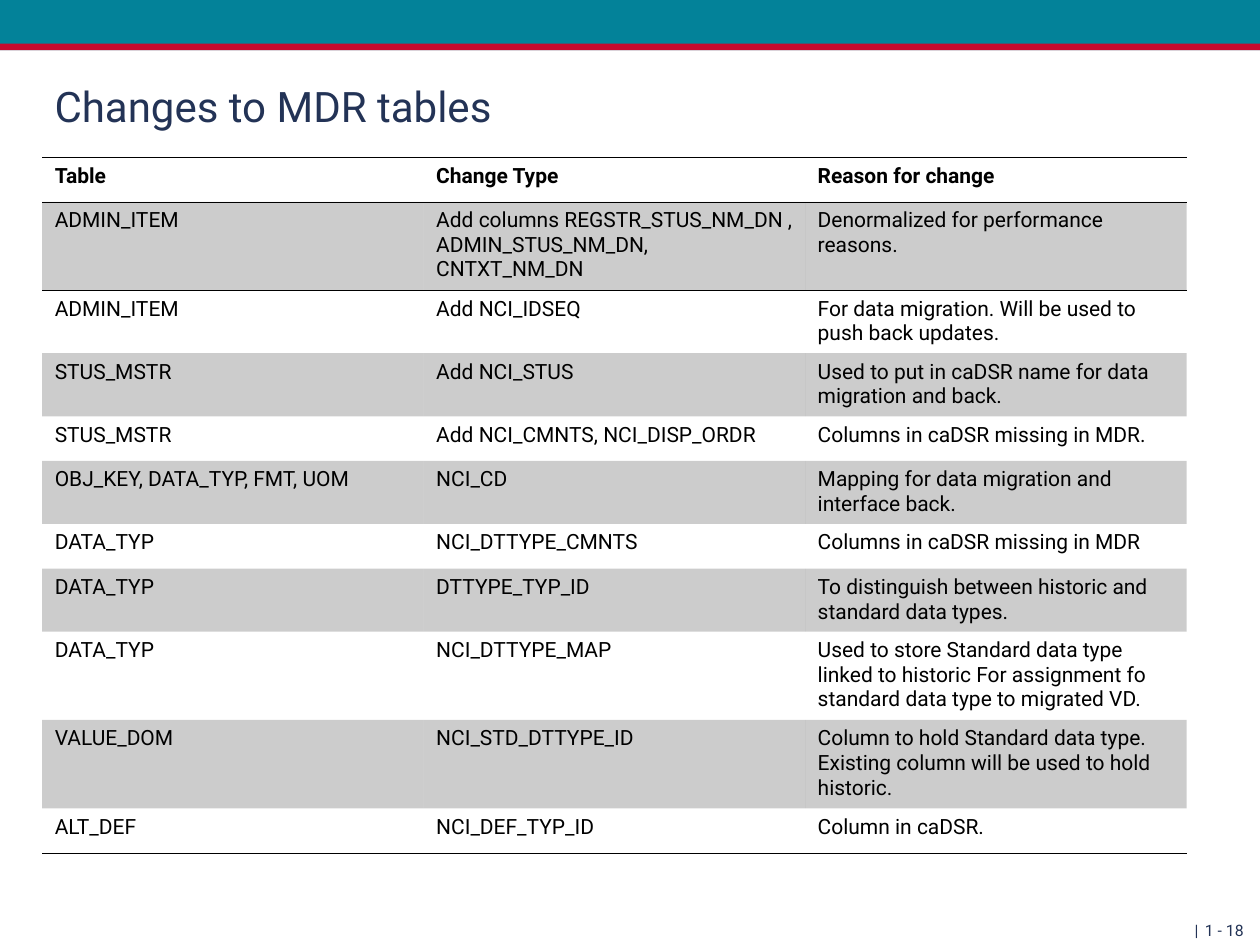
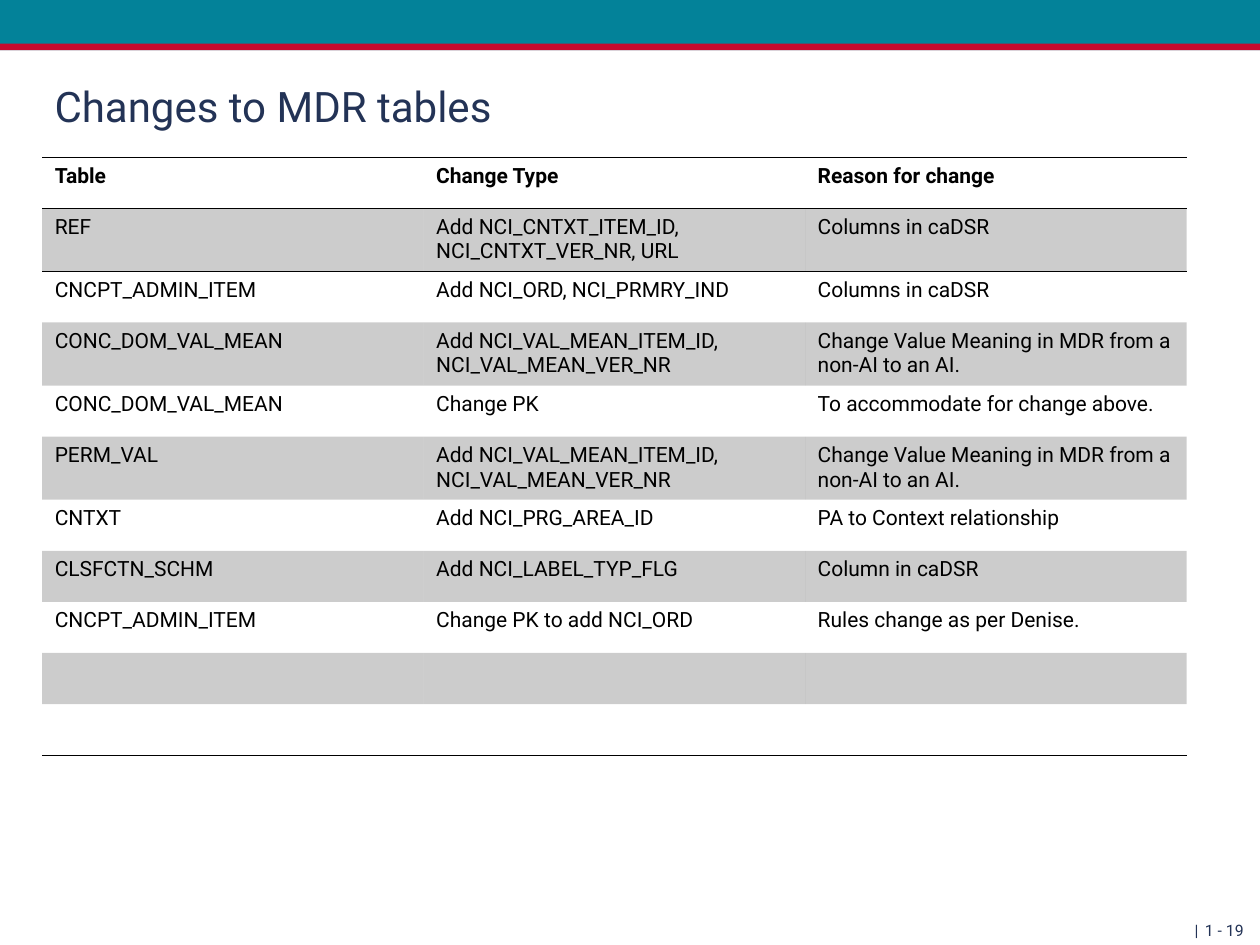
import pptx
import pptx.dml.color
import pptx.enum.shapes
import pptx.enum.text
import pptx.oxml
import pptx.oxml.ns
import pptx.util
from pptx.util import Cm

COLORS = {
    "band": "038299",
    "stripe": "C6092D",
    "navy": "233356",
    "black": "000000",
}
FONT = "Roboto"
SLIDE_WIDTH, SLIDE_HEIGHT = 25.4, 19.05
NO_GRID_STYLE = "{2D5ABB26-0587-4C30-8999-92F81FD0307C}"
RULE_WIDTH = pptx.util.Pt(0.45)
ALIGN = pptx.enum.text.PP_ALIGN
HEADINGS = ("Table", "Change Type", "Reason for change")

# Each row: number of text lines, then the three cells
FIRST_CHANGES = [
    (3, "ADMIN_ITEM",
     "Add columns REGSTR_STUS_NM_DN , ADMIN_STUS_NM_DN, CNTXT_NM_DN",
     "Denormalized for performance reasons."),
    (2, "ADMIN_ITEM", "Add NCI_IDSEQ",
     "For data migration. Will be used to push back updates."),
    (2, "STUS_MSTR", "Add NCI_STUS",
     "Used to put in caDSR name for data migration and back."),
    (1, "STUS_MSTR", "Add NCI_CMNTS, NCI_DISP_ORDR",
     "Columns in caDSR missing in MDR."),
    (2, "OBJ_KEY, DATA_TYP, FMT, UOM", "NCI_CD",
     "Mapping for data migration and interface back."),
    (1, "DATA_TYP", "NCI_DTTYPE_CMNTS", "Columns in caDSR missing in MDR"),
    (2, "DATA_TYP", "DTTYPE_TYP_ID",
     "To distinguish between historic and standard data types."),
    (3, "DATA_TYP", "NCI_DTTYPE_MAP",
     "Used to store Standard data type linked to historic For assignment fo "
     "standard data type to migrated VD."),
    (3, "VALUE_DOM", "NCI_STD_DTTYPE_ID",
     "Column to hold Standard data type. Existing column will be used to hold "
     "historic."),
    (1, "ALT_DEF", "NCI_DEF_TYP_ID", "Column in caDSR."),
]
VALUE_MEANING_COLUMNS = "Add NCI_VAL_MEAN_ITEM_ID, NCI_VAL_MEAN_VER_NR"
VALUE_MEANING_REASON = "Change Value Meaning in MDR from a non-AI to an AI."
SECOND_CHANGES = [
    (2, "REF", "Add NCI_CNTXT_ITEM_ID, NCI_CNTXT_VER_NR, URL",
     "Columns in caDSR"),
    (1, "CNCPT_ADMIN_ITEM", "Add NCI_ORD, NCI_PRMRY_IND", "Columns in caDSR"),
    (2, "CONC_DOM_VAL_MEAN", VALUE_MEANING_COLUMNS, VALUE_MEANING_REASON),
    (1, "CONC_DOM_VAL_MEAN", "Change PK", "To accommodate for change above."),
    (2, "PERM_VAL", VALUE_MEANING_COLUMNS, VALUE_MEANING_REASON),
    (1, "CNTXT", "Add NCI_PRG_AREA_ID", "PA to Context relationship"),
    (1, "CLSFCTN_SCHM", "Add NCI_LABEL_TYP_FLG", "Column in caDSR"),
    (1, "CNCPT_ADMIN_ITEM", "Change PK to add NCI_ORD",
     "Rules change as per Denise."),
    (1, "", "", ""),
    (1, "", "", ""),
]


def rgb(name):
    return pptx.dml.color.RGBColor.from_string(COLORS[name])


def add_run(paragraph, text, size, color, bold=False):
    run = paragraph.add_run()
    run.text = text
    run.font.name = FONT
    run.font.size = pptx.util.Pt(size)
    run.font.bold = bold
    run.font.color.rgb = rgb(color)


def add_text(slide, box, text, size, align=ALIGN.LEFT, line_spacing=1.0,
             middle=False, right_inset=0.25):
    shape = slide.shapes.add_textbox(*map(Cm, box))
    frame = shape.text_frame
    frame.word_wrap = True
    frame.margin_right = Cm(right_inset)
    if middle:
        frame.vertical_anchor = pptx.enum.text.MSO_ANCHOR.MIDDLE
    paragraph = frame.paragraphs[0]
    paragraph.alignment = align
    paragraph.line_spacing = line_spacing
    add_run(paragraph, text, size, "navy")


def add_bar(slide, box, color):
    shape = slide.shapes.add_shape(
        pptx.enum.shapes.MSO_SHAPE.RECTANGLE, *map(Cm, box))
    shape.shadow.inherit = False
    shape.fill.solid()
    shape.fill.fore_color.rgb = rgb(color)
    shape.line.fill.background()


def add_header(slide, box):
    left, top, width, height = box
    stripe = 0.13
    add_bar(slide, box, "band")
    add_bar(slide, (left, top + height - stripe, width, stripe), "stripe")


def add_footer(slide, box, page):
    left, top, width, height = box
    add_text(slide, box, page, 9, ALIGN.RIGHT, 1.2, right_inset=0.33)
    # Separator, left of the page number
    add_text(slide, (left, top, width - 0.99, height), "|", 9,
             ALIGN.RIGHT, 1.2)


def add_border(cell, side):
    properties = cell._tc.get_or_add_tcPr()
    properties.append(pptx.oxml.parse_xml(
        f'<a:{side} {pptx.oxml.ns.nsdecls("a")} w="{RULE_WIDTH}"><a:solidFill>'
        f'<a:srgbClr val="{COLORS["black"]}"/></a:solidFill></a:{side}>'))


def shade(cell):
    cell.fill.solid()
    cell.fill.fore_color.rgb = rgb("black")
    # Only the cell's own fill, not that of its borders
    fill = cell._tc.tcPr.find(pptx.oxml.ns.qn("a:solidFill"))
    fill[0].append(pptx.oxml.parse_xml(
        f'<a:alpha {pptx.oxml.ns.nsdecls("a")} val="20000"/>'))


def add_change_table(slide, box, changes, row_heights):
    rows = [(1, *HEADINGS), *changes]
    last = len(rows) - 1
    left, top, width = box
    height = sum(row_heights[lines] for lines, *_ in rows)
    shape = slide.shapes.add_table(
        len(rows), len(HEADINGS), *map(Cm, (left, top, width, height)))
    style = shape.element.find(".//" + pptx.oxml.ns.qn("a:tableStyleId"))
    style.text = NO_GRID_STYLE
    table = shape.table
    table.horz_banding = False

    for row_index, (lines, *texts) in enumerate(rows):
        table.rows[row_index].height = Cm(row_heights[lines])
        for column_index, text in enumerate(texts):
            cell = table.cell(row_index, column_index)
            cell.margin_right = Cm(0.2)
            # Rules around the heading and below the last row
            if row_index in (0, 1):
                add_border(cell, "lnT")
            if row_index in (0, last):
                add_border(cell, "lnB")
            # Grey on every second row
            if row_index % 2:
                shade(cell)
            else:
                cell.fill.background()
            if text:
                add_run(cell.text_frame.paragraphs[0], text, 12, "black",
                        bold=row_index == 0)


def add_change_slide(presentation, page, changes, row_heights):
    slide = presentation.slides.add_slide(presentation.slide_layouts[6])
    add_header(slide, (0, 0, SLIDE_WIDTH, 1.01))
    add_footer(slide, (8.94, 18.36, 16.46, 0.69), page)
    add_text(slide, (0.85, 1.26, 22.86, 1.75), "Changes to MDR tables", 24,
             middle=True)
    add_change_table(slide, (0.85, 3.17, 23.07), changes, row_heights)


def main():
    presentation = pptx.Presentation()
    presentation.slide_width = Cm(SLIDE_WIDTH)
    presentation.slide_height = Cm(SLIDE_HEIGHT)
    # Row heights by number of text lines
    add_change_slide(presentation, "1 - 18", FIRST_CHANGES,
                     {1: 0.9, 2: 1.27, 3: 1.78})
    add_change_slide(presentation, "1 - 19", SECOND_CHANGES,
                     {1: 1.03, 2: 1.27})
    presentation.save("out.pptx")


if __name__ == "__main__":
    main()
